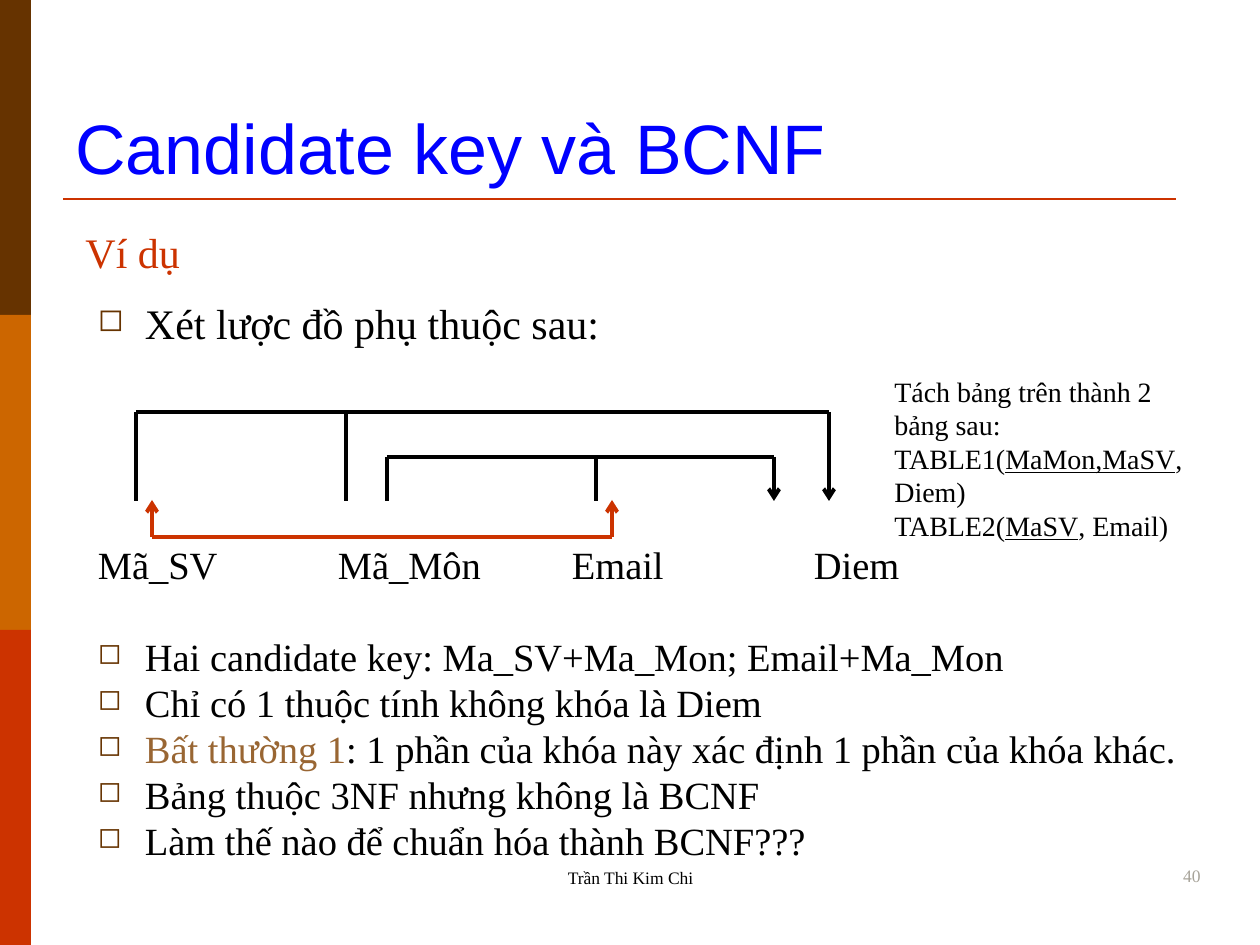
from lxml import etree
from pptx import Presentation, util as u
from pptx.dml.color import RGBColor
from pptx.enum import shapes, text
from pptx.oxml.ns import qn

SCALE = 914400 / 126
COLORS = {"brown": "663300", "orange": "CC6600", "red": "CC3300", "black": "000000",
          "blue": "0000FF", "tan": "996633", "gray": "A7A399"}
SERIF = "Times New Roman"
LABELS = "Mã_SV\tMã_Môn\tEmail\tDiem"
LABEL_TABS = (240, 474, 716)
FINDINGS = [
    ["Hai candidate key: Ma_SV+Ma_Mon; Email+Ma_Mon"],
    ["Chỉ có 1 thuộc tính không khóa là Diem"],
    ["Bất thường 1", ": 1 phần của khóa này xác định 1 phần của khóa khác."],
    ["Bảng thuộc 3NF nhưng không là BCNF"],
    ["Làm thế nào để chuẩn hóa thành BCNF???"],
]
TABLES = [
    ["Tách bảng trên thành 2 bảng sau:"],
    ["TABLE1(", "MaMon,MaSV", ", Diem)"],
    ["TABLE2(", "MaSV", ", Email)"],
]


def px(length):
    """Turn pixels into EMU."""
    return u.Emu(round(length * SCALE))


def rgb(name):
    """Look up a colour by name."""
    return RGBColor.from_string(COLORS[name])


def add_band(slide, top, color):
    """Draw one block of the left side band."""
    shape = slide.shapes.add_shape(shapes.MSO_SHAPE.RECTANGLE, 0, px(top), px(31), px(315))
    shape.shadow.inherit = False
    shape.fill.solid()
    shape.fill.fore_color.rgb = rgb(color)
    shape.line.fill.background()


def add_line(slide, start, end, color, width=2.25, arrow=False):
    """Draw a straight line, with an optional arrowhead at its end."""
    line = slide.shapes.add_connector(shapes.MSO_CONNECTOR.STRAIGHT, *map(px, start + end))
    line.line.color.rgb = rgb(color)
    line.line.width = u.Pt(width)
    properties = line._element.spPr
    if arrow:
        etree.SubElement(properties.find(qn("a:ln")), qn("a:tailEnd"), type="arrow")
    etree.SubElement(properties, qn("a:effectLst"))


def add_bracket(slide, bar, tips, stems, color):
    """Draw a horizontal bar with stems given as (x, has arrow) pairs."""
    for x, arrow in stems:
        add_line(slide, (x, bar), (x, tips), color, arrow=arrow)
    add_line(slide, (stems[0][0], bar), (stems[-1][0], bar), color)


def add_box(slide, left, top, width, height, anchor=text.MSO_ANCHOR.TOP):
    """Add an empty wrapping text box and return its text frame."""
    frame = slide.shapes.add_textbox(*map(px, (left, top, width, height))).text_frame
    frame.word_wrap = True
    frame.vertical_anchor = anchor
    return frame


def fill_paragraph(paragraph, pieces, size, color="black", font=SERIF):
    """Write the pieces as runs of one style."""
    for piece in pieces:
        run = paragraph.add_run()
        run.text = piece
        run.font.size = u.Pt(size)
        run.font.name = font
        run.font.color.rgb = rgb(color)


def add_label(slide, box, content, size, color, font=SERIF,
              anchor=text.MSO_ANCHOR.TOP, align=text.PP_ALIGN.LEFT):
    """Add a text box with one line."""
    paragraph = add_box(slide, *box, anchor).paragraphs[0]
    paragraph.alignment = align
    fill_paragraph(paragraph, [content], size, color, font)


def add_body_line(frame, pieces, size, before, first=False):
    """Add a tightly spaced body paragraph."""
    paragraph = frame.paragraphs[0] if first else frame.add_paragraph()
    paragraph.line_spacing = 0.8
    paragraph.space_before = u.Pt(before)
    fill_paragraph(paragraph, pieces, size)
    return paragraph


def set_bullet(paragraph):
    """Give a paragraph a hanging square bullet."""
    properties = paragraph._p.get_or_add_pPr()
    properties.set("marL", str(px(47)))
    properties.set("indent", str(-px(47)))
    color = etree.SubElement(properties, qn("a:buClr"))
    etree.SubElement(color, qn("a:srgbClr"), val=COLORS["brown"])
    etree.SubElement(properties, qn("a:buSzPct"), val="75000")
    etree.SubElement(properties, qn("a:buChar"), char="◻")


def set_tabs(paragraph, stops):
    """Set left tab stops."""
    tabs = etree.SubElement(paragraph._p.get_or_add_pPr(), qn("a:tabLst"))
    for stop in stops:
        etree.SubElement(tabs, qn("a:tab"), pos=str(px(stop)), algn="l")


def add_body(slide):
    """Write the introduction, the attribute row and the findings."""
    frame = add_box(slide, 73, 294, 1134, 746)
    frame.margin_left, frame.margin_top = px(25), px(13)
    set_bullet(add_body_line(frame, ["Xét lược đồ phụ thuộc sau:"], 24, 5, first=True))
    set_tabs(add_body_line(frame, [LABELS], 22, 116), LABEL_TABS)
    for index, pieces in enumerate(FINDINGS):
        paragraph = add_body_line(frame, pieces, 22, 5.25 if index else 31)
        set_bullet(paragraph)
        if len(pieces) > 1:
            paragraph.runs[0].font.color.rgb = rgb("tan")


def add_tables_note(slide):
    """Write the decomposed tables with underlined keys."""
    frame = add_box(slide, 882, 368, 336, 214)
    for index, pieces in enumerate(TABLES):
        paragraph = frame.add_paragraph() if index else frame.paragraphs[0]
        fill_paragraph(paragraph, pieces, 16)
        for run in paragraph.runs[1:2]:
            run.font.underline = True


def main():
    """Build and save the slide."""
    presentation = Presentation()
    presentation.slide_width, presentation.slide_height = px(1260), px(945)
    slide = presentation.slides.add_slide(presentation.slide_layouts[6])
    bottom, align = text.MSO_ANCHOR.BOTTOM, text.PP_ALIGN
    for index, color in enumerate(("brown", "orange", "red")):
        add_band(slide, index * 315, color)
    add_line(slide, (63, 199), (1176, 199), "red", 1.5)
    add_label(slide, (73, 210, 399, 73), "Ví dụ", 24, "red", anchor=bottom)
    add_body(slide)
    add_label(slide, (1150, 842, 63, 50), "40", 10, "gray", anchor=bottom, align=align.RIGHT)
    add_bracket(slide, 412, 501, [(136, False), (346, False), (829, True)], "black")
    add_bracket(slide, 457, 501, [(387, False), (596, False), (774, True)], "black")
    add_bracket(slide, 537, 500, [(152, True), (612, True)], "red")
    add_label(slide, (63, 38, 1134, 157), "Candidate key và BCNF", 40, "blue", "Arial", bottom)
    add_tables_note(slide)
    add_label(slide, (431, 861, 399, 63), "Trần Thi Kim Chi", 10, "black", align=align.CENTER)
    presentation.save("out.pptx")


if __name__ == "__main__":
    main()
